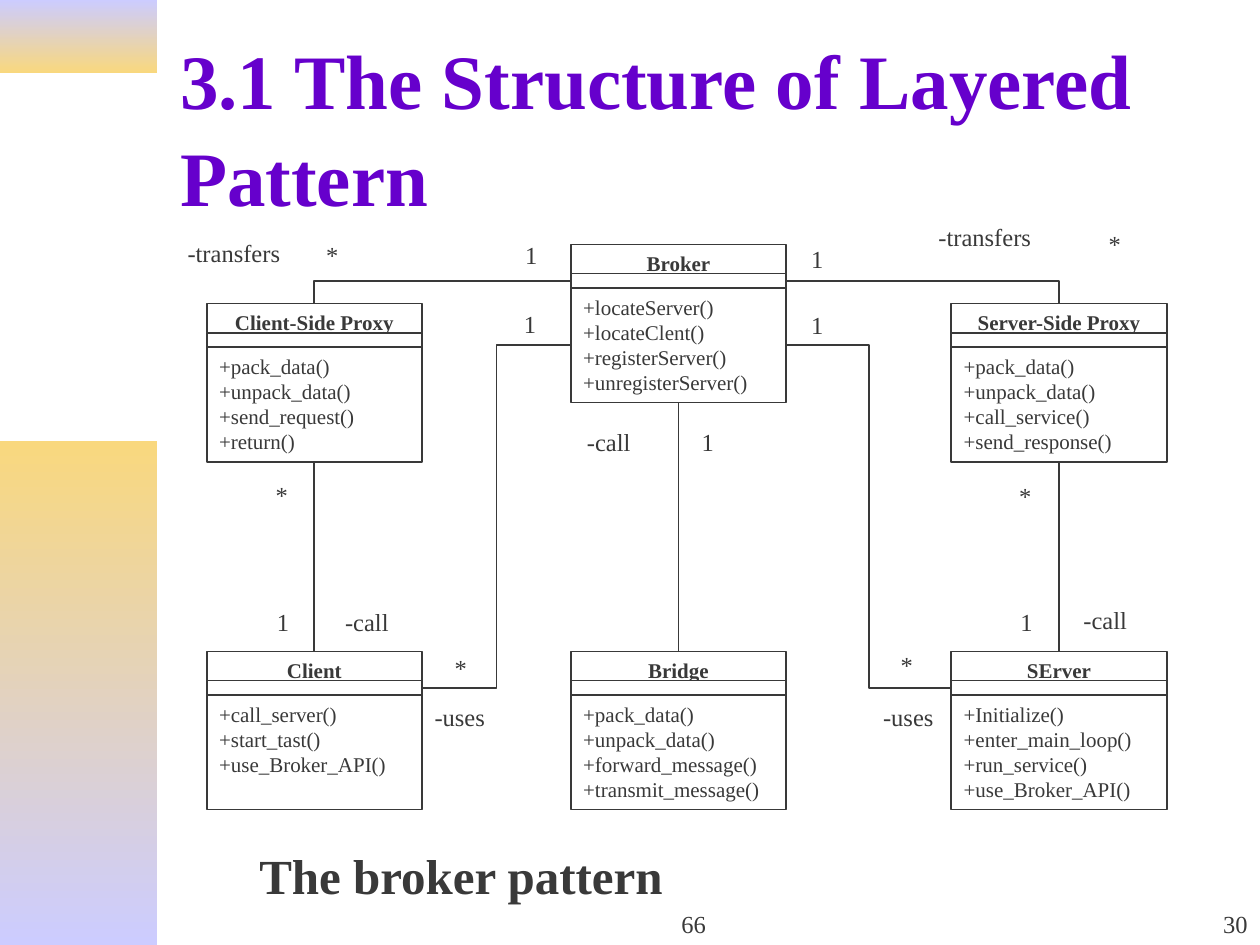
from dataclasses import dataclass

from lxml.etree import SubElement
from pptx import Presentation
from pptx.dml.color import RGBColor
from pptx.enum.shapes import MSO_CONNECTOR as Connector, MSO_SHAPE as Preset
from pptx.enum.text import MSO_ANCHOR as Anchor, MSO_AUTO_SIZE as AutoSize, PP_ALIGN as Align
from pptx.oxml.ns import qn
from pptx.util import Inches, Pt

COLUMNS, ROWS = 100, 75


@dataclass(frozen=True)
class Theme:
    font: str = "Times New Roman"
    ink: str = "393939"
    title: str = "6600CC"
    paper: str = "FFFFFF"
    lilac: str = "CCCCFF"
    gold: str = "F9D87E"
    title_size: int = 44
    caption_size: int = 28
    label_size: int = 14
    class_size: int = 12
    line_width: int = 1


class SlideBuilder:
    def __init__(self, presentation, theme):
        self.theme = theme
        self.column = presentation.slide_width / COLUMNS
        self.row = presentation.slide_height / ROWS
        self.slide = presentation.slides.add_slide(presentation.slide_layouts[5])

    def place(self, left, top, width, height):
        return (round(left * self.column), round(top * self.row),
                round(width * self.column), round(height * self.row))

    def fill_text(self, shape, lines, size, color=None, bold=False, align=Align.LEFT,
                  anchor=Anchor.TOP, wrap=True, spacing=None):
        frame = shape.text_frame
        frame.word_wrap = wrap
        frame.auto_size = AutoSize.NONE
        frame.vertical_anchor = anchor
        for index, line in enumerate(lines):
            paragraph = frame.add_paragraph() if index else frame.paragraphs[0]
            paragraph.alignment = align
            if spacing:
                paragraph.line_spacing = spacing
            run = paragraph.add_run()
            run.text = line
            run.font.name = self.theme.font
            run.font.size = Pt(size)
            run.font.bold = bold
            run.font.color.rgb = RGBColor.from_string(color or self.theme.ink)

    def title(self, text, *box):
        shape = self.slide.shapes.title
        shape.left, shape.top, shape.width, shape.height = self.place(*box)
        self.fill_text(shape, [text], self.theme.title_size, self.theme.title,
                       bold=True, anchor=Anchor.MIDDLE, spacing=1.05)

    def text(self, text, *box, size=None, **style):
        shape = self.slide.shapes.add_textbox(*self.place(*box))
        self.fill_text(shape, [text], size or self.theme.label_size, **style)

    def rectangle(self, *box):
        shape = self.slide.shapes.add_shape(Preset.RECTANGLE, *self.place(*box))
        shape.shadow.inherit = False
        return shape

    def band(self, first, last, *box):
        shape = self.rectangle(*box)
        shape.line.fill.background()
        shape.fill.gradient()
        shape.fill.gradient_angle = 270
        for stop, color, position in zip(shape.fill.gradient_stops, (first, last), (0, 1)):
            stop.color.rgb = RGBColor.from_string(color)
            stop.position = position

    def compartment(self, *box):
        shape = self.rectangle(*box)
        shape.fill.solid()
        shape.fill.fore_color.rgb = RGBColor.from_string(self.theme.paper)
        self.outline(shape)
        return shape

    def outline(self, shape):
        shape.line.color.rgb = RGBColor.from_string(self.theme.ink)
        shape.line.width = Pt(self.theme.line_width)

    def class_box(self, name, operations, left, top, width=17.1):
        header = self.compartment(left, top, width, 2.4)
        self.fill_text(header, [name], self.theme.class_size, bold=True, align=Align.CENTER)
        attributes = self.compartment(left, top + 2.3, width, 1.2)
        body = self.compartment(left, top + 3.45, width, 9.1)
        self.fill_text(body, operations, self.theme.class_size)
        return {"header": header, "attributes": attributes, "body": body}

    def connect(self, start, start_side, end, end_side, kind=Connector.STRAIGHT, corner=False):
        line = self.slide.shapes.add_connector(kind, 0, 0, 0, 0)
        line.begin_connect(start, start_side)
        line.end_connect(end, end_side)
        self.outline(line)
        properties = line._element.spPr
        SubElement(properties, qn("a:effectLst"))
        if corner:
            properties.find(qn("a:prstGeom")).set("prst", "bentConnector2")


CLASSES = {
    "Broker": (45.3, 19.4, ["+locateServer()", "+locateClent()", "+registerServer()",
                            "+unregisterServer()"]),
    "Client-Side Proxy": (16.4, 24.1, ["+pack_data()", "+unpack_data()", "+send_request()",
                                       "+return()"]),
    "Bridge": (45.3, 51.7, ["+pack_data()", "+unpack_data()", "+forward_message()",
                            "+transmit_message()"]),
    "Client": (16.4, 51.7, ["+call_server()", "+start_tast()", "+use_Broker_API()"]),
    "SErver": (75.5, 51.7, ["+Initialize()", "+enter_main_loop()", "+run_service()",
                            "+use_Broker_API()"]),
    "Server-Side Proxy": (75.5, 24.1, ["+pack_data()", "+unpack_data()", "+call_service()",
                                       "+send_response()"]),
}

LABELS = {
    "1": (3, [(40.7, 18.6), (40.6, 24), (54.7, 33.4), (63.4, 24.1), (63.4, 18.9),
              (21, 47.7), (80, 47.7)]),
    "*": (3, [(24.9, 18.6), (20.9, 37.6), (35.1, 51.3), (70.5, 51.1), (87, 17.7),
              (79.9, 37.7)]),
    "-call": (6.9, [(45.6, 33.4), (26.4, 47.7), (85, 47.5)]),
    "-uses": (6.9, [(33.5, 55.2), (69.1, 55.2)]),
    "-transfers": (10.6, [(73.5, 17.1), (13.9, 18.4)]),
}


def main():
    presentation = Presentation()
    presentation.slide_width, presentation.slide_height = Inches(10), Inches(7.5)
    theme = Theme()
    builder = SlideBuilder(presentation, theme)

    builder.band(theme.lilac, theme.gold, 0, 0, 12.5, 5.8)
    builder.band(theme.gold, theme.lilac, 0, 35, 12.5, 40)
    builder.title("3.1 The Structure of Layered Pattern", 13.3, 3.3, 85, 13.2)
    builder.text("66", 39.2, 70, 31.7, 5, align=Align.CENTER, anchor=Anchor.BOTTOM)
    builder.text("30", 79.2, 70, 20.8, 5, align=Align.RIGHT, anchor=Anchor.BOTTOM)
    builder.text("The broker pattern", 19.6, 66.6, 34.1, 5.7,
                 size=theme.caption_size, bold=True, wrap=False)

    boxes = {name: builder.class_box(name, operations, left, top)
             for name, (left, top, operations) in CLASSES.items()}
    broker = boxes["Broker"]
    for proxy, peer, broker_side, peer_side in (
            ("Client-Side Proxy", "Client", 1, 3), ("Server-Side Proxy", "SErver", 3, 1)):
        builder.connect(broker["attributes"], broker_side, boxes[proxy]["header"], 0,
                        Connector.ELBOW, corner=True)
        builder.connect(broker["body"], broker_side, boxes[peer]["attributes"], peer_side,
                        Connector.ELBOW)
        builder.connect(boxes[proxy]["body"], 2, boxes[peer]["header"], 0)
    builder.connect(broker["body"], 2, boxes["Bridge"]["header"], 0)

    for text, (width, positions) in LABELS.items():
        for left, top in positions:
            builder.text(text, left, top, width, 3.4)

    presentation.save("out.pptx")


if __name__ == "__main__":
    main()
